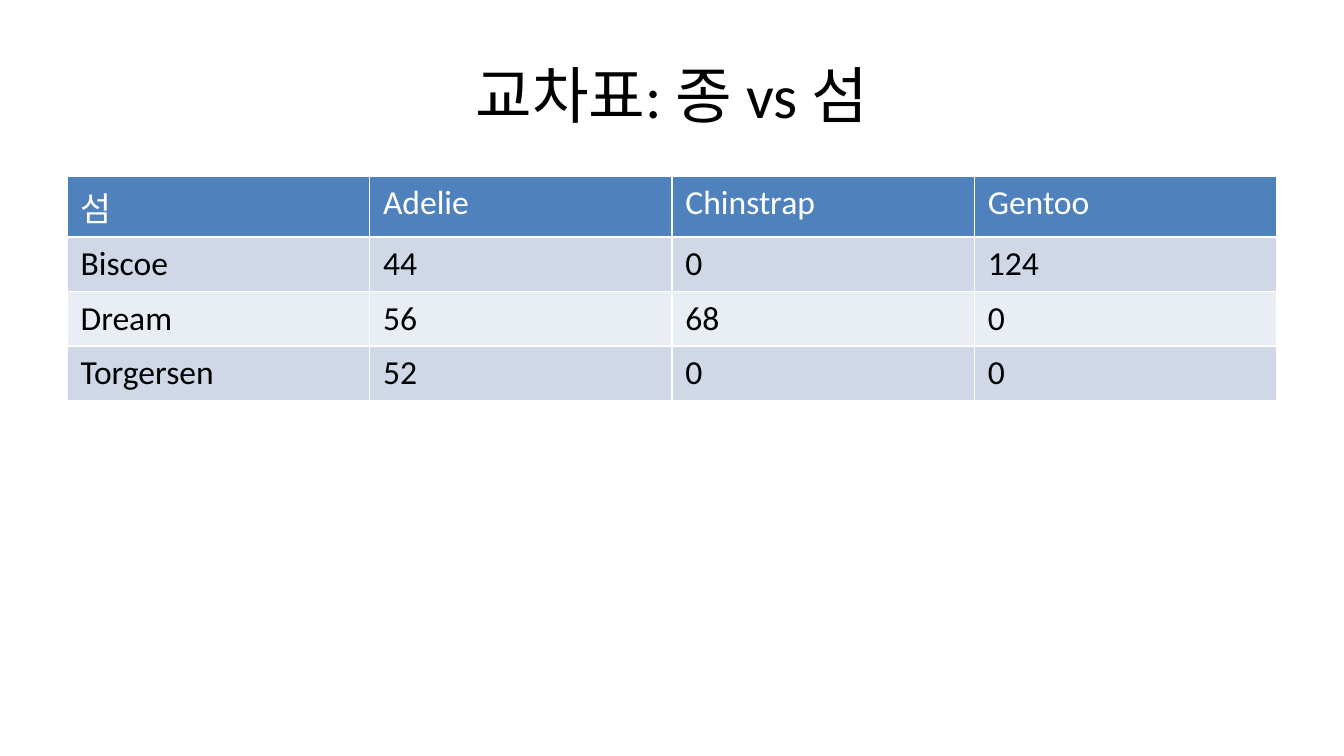
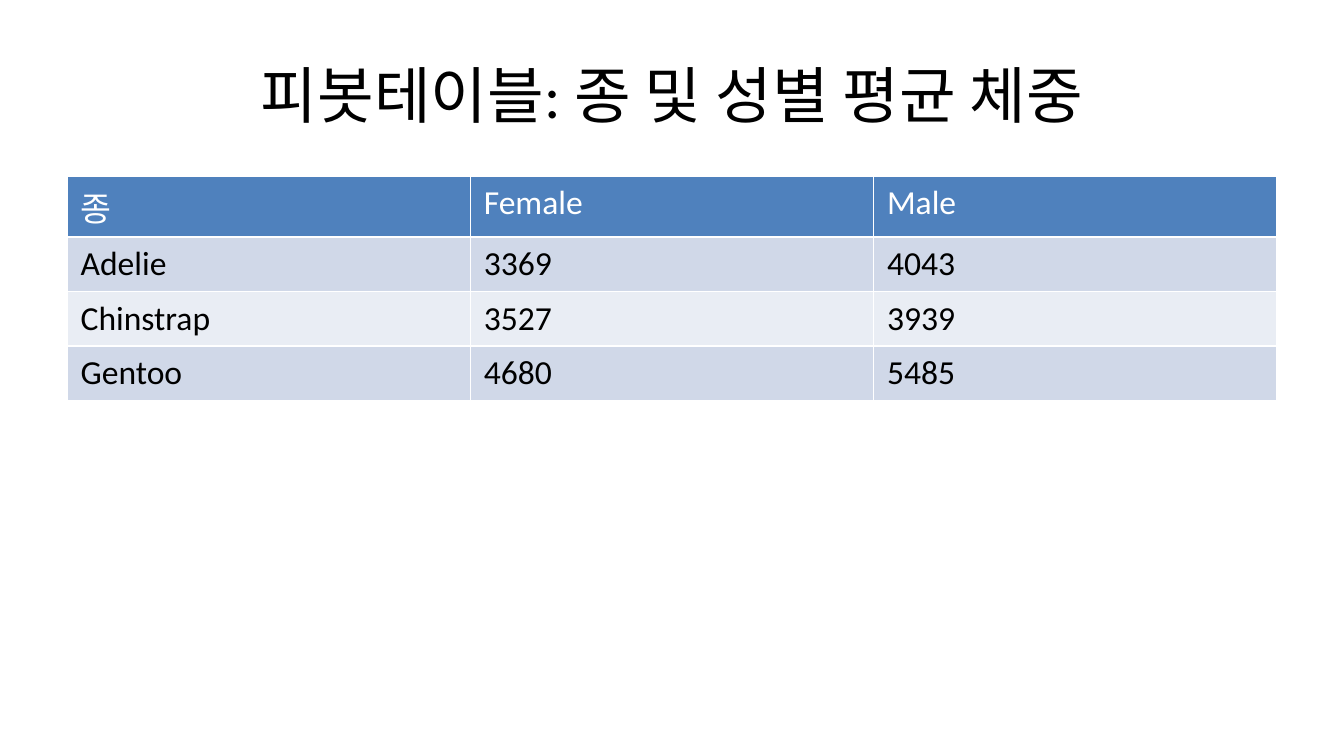
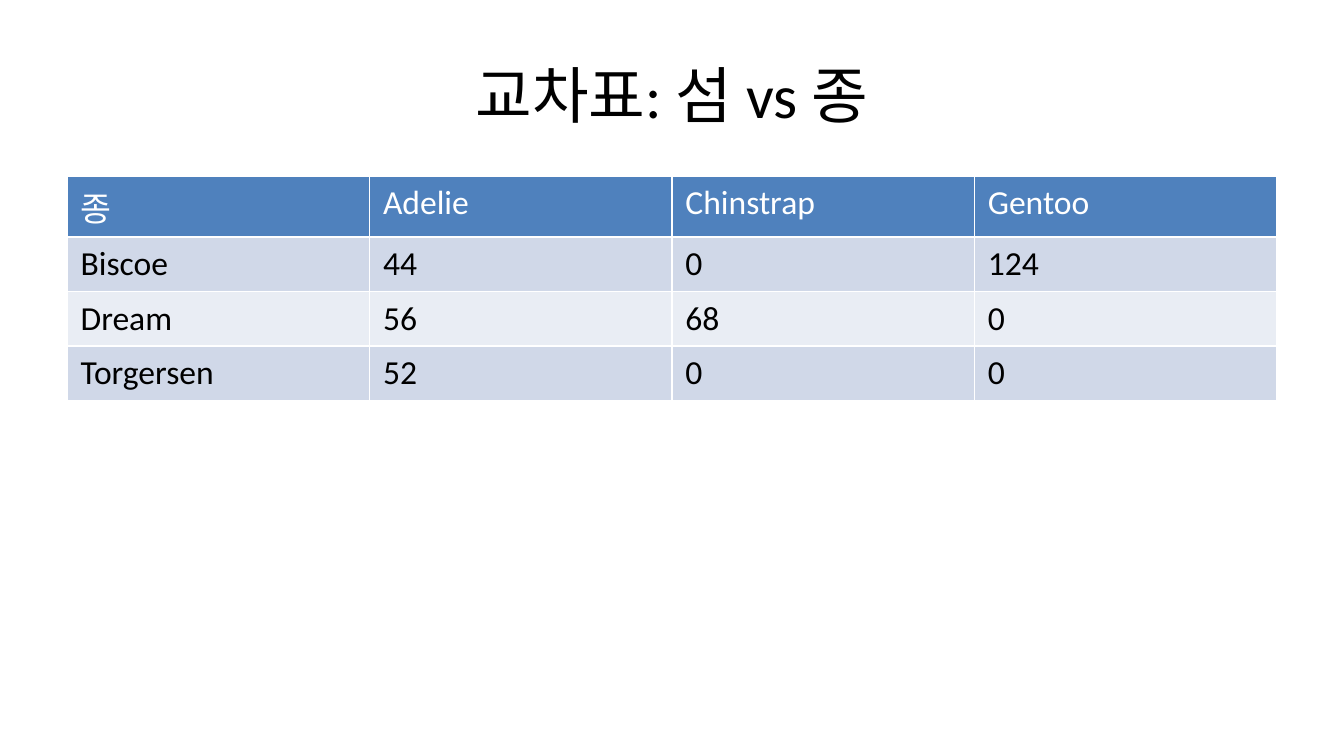
from pptx import Presentation
from pptx.dml.color import RGBColor
from pptx.enum.text import MSO_ANCHOR, PP_ALIGN
from pptx.oxml.ns import qn
from pptx.util import Cm, Pt
from lxml.etree import SubElement

COLOURS = {
    "text": "000000",
    "header": "4F81BD",
    "header_text": "FFFFFF",
    "border": "FFFFFF",
    "band_dark": "D0D8E8",
    "band_light": "E9EDF4",
}
ISLAND_ROWS = [
    ["Biscoe", "44", "0", "124"],
    ["Dream", "56", "68", "0"],
    ["Torgersen", "52", "0", "0"],
]
SPECIES = ["Adelie", "Chinstrap", "Gentoo"]
TABLES = [
    ("교차표: 종 vs 섬", [["섬"] + SPECIES] + ISLAND_ROWS),
    ("피봇테이블: 종 및 성별 평균 체중", [
        ["종", "Female", "Male"],
        ["Adelie", "3369", "4043"],
        ["Chinstrap", "3527", "3939"],
        ["Gentoo", "4680", "5485"],
    ]),
    ("교차표: 섬 vs 종", [["종"] + SPECIES] + ISLAND_ROWS),
]


class TableDeck:
    """Shared style and the page being built."""

    font = "Calibri"
    left, width = 1.27, 22.86
    header_height, row_height = 1.15, 1.03

    def __init__(self):
        self.deck = Presentation()
        self.deck.slide_width = Cm(25.4)
        self.deck.slide_height = Cm(14.29)
        self.page = None

    def add_page(self):
        self.page = self.deck.slides.add_slide(self.deck.slide_layouts[6])

    def format_text(self, frame, size, colour):
        for para in frame.paragraphs:
            for span in para.runs:
                span.font.name = self.font
                span.font.size = Pt(size)
                span.font.bold = False
                span.font.color.rgb = RGBColor.from_string(COLOURS[colour])

    def add_title(self, text):
        box = self.page.shapes.add_textbox(
            Cm(self.left), Cm(0.58), Cm(self.width), Cm(2.38))
        frame = box.text_frame
        frame.word_wrap = True
        frame.vertical_anchor = MSO_ANCHOR.MIDDLE
        frame.text = text
        frame.paragraphs[0].alignment = PP_ALIGN.CENTER
        self.format_text(frame, 33, "text")

    def add_table(self, rows):
        heights = [self.header_height] + [self.row_height] * (len(rows) - 1)
        table = self.page.shapes.add_table(
            len(rows), len(rows[0]), Cm(self.left), Cm(3.33),
            Cm(self.width), Cm(sum(heights))).table
        for column in table.columns:
            column.width = Cm(self.width / len(rows[0]))
        for row_index, values in enumerate(rows):
            table.rows[row_index].height = Cm(heights[row_index])
            # Header first, then alternating bands
            if row_index == 0:
                fill, colour = "header", "header_text"
            else:
                fill = "band_dark" if row_index % 2 else "band_light"
                colour = "text"
            for column_index, value in enumerate(values):
                cell = table.cell(row_index, column_index)
                cell.text_frame.text = value
                self.format_text(cell.text_frame, 18, colour)
                self.add_borders(cell)
                cell.fill.solid()
                cell.fill.fore_color.rgb = RGBColor.from_string(COLOURS[fill])

    def add_borders(self, cell):
        # Borders come before the fill in the cell properties
        properties = cell._tc.get_or_add_tcPr()
        for side in ("lnL", "lnR", "lnT", "lnB"):
            line = SubElement(properties, qn(f"a:{side}"), w=str(Pt(1)))
            solid = SubElement(line, qn("a:solidFill"))
            SubElement(solid, qn("a:srgbClr"), val=COLOURS["border"])


def main():
    builder = TableDeck()
    for title, rows in TABLES:
        builder.add_page()
        builder.add_title(title)
        builder.add_table(rows)
    builder.deck.save("out.pptx")


if __name__ == "__main__":
    main()
